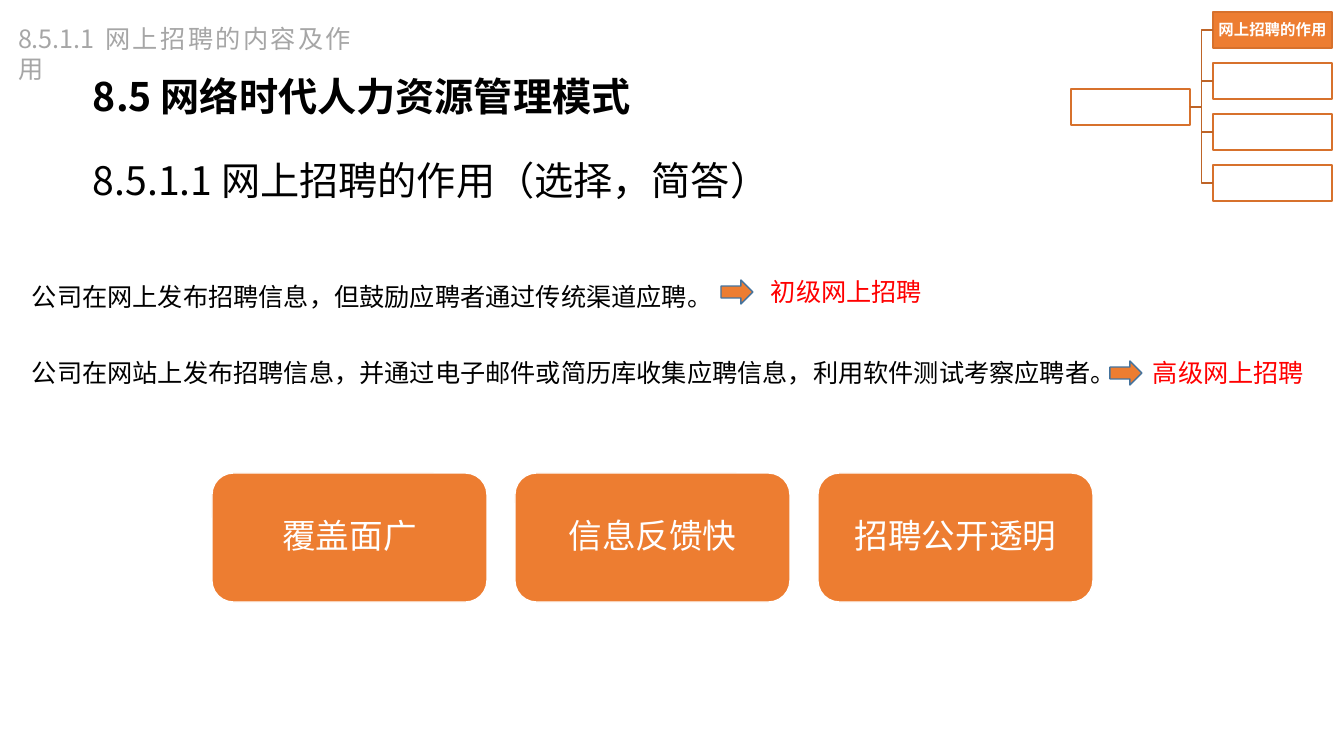
"""Build the slide on the roles of online recruitment."""
from dataclasses import dataclass

from lxml import etree
from pptx import Presentation
from pptx import util as u
from pptx.dml.color import RGBColor
from pptx.enum import shapes, text
from pptx.oxml.ns import qn

EMU_PER_PX = 914400 / 100.8


@dataclass(frozen=True)
class Theme:
    """Colours, fonts and type sizes of the slide."""
    black: str = "000000"
    white: str = "FFFFFF"
    grey: str = "A6A6A6"
    red: str = "FF0000"
    orange: str = "ED7D31"
    box_line: str = "D7712C"
    branch_line: str = "BE6427"
    arrow_line: str = "43739E"
    heading_font: str = "Noto Sans CJK SC"
    body_font: str = "Noto Sans CJK JP"
    heading: int = 28
    card: int = 24
    body: int = 18
    small: int = 11


THEME = Theme()


def px(length):
    """Turn pixels into EMU."""
    return u.Emu(round(length * EMU_PER_PX))


def write(box, words, size, color, font=THEME.body_font, bold=False,
          align=text.PP_ALIGN.LEFT, anchor=text.MSO_ANCHOR.TOP,
          spacing=1.0, inset=(10, 5)):
    """Put one formatted paragraph into a shape."""
    frame = box.text_frame
    frame.text = words
    frame.word_wrap = True
    frame.auto_size = text.MSO_AUTO_SIZE.NONE
    frame.vertical_anchor = anchor
    frame.margin_left = frame.margin_right = px(inset[0])
    frame.margin_top = frame.margin_bottom = px(inset[1])
    para = frame.paragraphs[0]
    para.alignment = align
    para.line_spacing = spacing
    para.space_before = u.Pt(0)
    for span in para.runs:
        span.font.size = u.Pt(size)
        span.font.bold = bold
        span.font.color.rgb = RGBColor.from_string(color)
        span.font.name = font
        east_asian = etree.SubElement(span.font._element, qn("a:ea"))
        east_asian.set("typeface", font)


def add_title(page, words, left, top, width, height):
    """Place and fill the title placeholder."""
    title = page.shapes.title
    title.left, title.top = px(left), px(top)
    title.width, title.height = px(width), px(height)
    write(title, words, THEME.heading, THEME.black, THEME.heading_font,
          bold=True, inset=(12, 6))


def add_text(page, words, left, top, width, height, size, color, **style):
    """Add a text box."""
    box = page.shapes.add_textbox(px(left), px(top), px(width), px(height))
    write(box, words, size, color, **style)


def add_block(page, kind, left, top, width, height, fill, line):
    """Add a filled and outlined preset shape."""
    block = page.shapes.add_shape(kind, px(left), px(top), px(width), px(height))
    block.shadow.inherit = False
    block.fill.solid()
    block.fill.fore_color.rgb = RGBColor.from_string(fill)
    block.line.color.rgb = RGBColor.from_string(line)
    block.line.width = u.Pt(1)
    return block


def add_branch(page, parent, child):
    """Join the right side of a parent to the left side of a child."""
    branch = page.shapes.add_connector(shapes.MSO_CONNECTOR.ELBOW, 0, 0, 0, 0)
    branch.begin_connect(parent, 3)
    branch.end_connect(child, 1)
    branch.line.color.rgb = RGBColor.from_string(THEME.branch_line)
    branch.line.width = u.Pt(1)
    etree.SubElement(branch._element.spPr, qn("a:effectLst"))


def add_outline_tree(page, current):
    """Draw the navigation tree with its first topic highlighted."""
    def add_node(left, top, fill):
        return add_block(page, shapes.MSO_SHAPE.RECTANGLE, left, top, 119, 36,
                         fill, THEME.box_line)

    parent = add_node(1071, 89, THEME.white)
    fills = [THEME.orange] + [THEME.white] * 3
    topics = [add_node(1213, 12 + 51 * row, fill) for row, fill in enumerate(fills)]
    for topic in topics:
        add_branch(page, parent, topic)
    write(topics[0], current, THEME.small, THEME.white, THEME.heading_font,
          bold=True, align=text.PP_ALIGN.CENTER,
          anchor=text.MSO_ANCHOR.MIDDLE, spacing=0.9, inset=(1, 1))


def add_level(page, words, level, top, width, height, arrow_left, label_left,
              label_top, spacing=1.0):
    """Add a statement, an arrow and the recruitment level it leads to."""
    add_text(page, words, 22, top, width, height, THEME.body, THEME.black,
             spacing=spacing)
    add_text(page, level, label_left, label_top, 173, 40, THEME.body, THEME.red)
    add_block(page, shapes.MSO_SHAPE.RIGHT_ARROW, arrow_left, label_top + 9,
              32, 24, THEME.orange, THEME.arrow_line)


def add_cards(page, roles):
    """Add a row of evenly spaced rounded cards."""
    for column, role in enumerate(roles):
        card = add_block(page, shapes.MSO_SHAPE.ROUNDED_RECTANGLE,
                         212 + 303 * column, 473, 275, 129,
                         THEME.orange, THEME.white)
        write(card, role, THEME.card, THEME.white, align=text.PP_ALIGN.CENTER,
              anchor=text.MSO_ANCHOR.MIDDLE, spacing=0.9, inset=(10, 10))


def main():
    """Build and save the deck."""
    deck = Presentation()
    deck.slide_width, deck.slide_height = px(1344), px(756)
    page = deck.slides.add_slide(deck.slide_layouts[5])
    add_title(page, "8.5 网络时代人力资源管理模式", 81, 66, 1154, 59)
    add_text(page, "8.5.1.1 网上招聘的作用（选择，简答）", 81, 116, 1226, 105,
             THEME.heading, THEME.black, font=THEME.heading_font,
             anchor=text.MSO_ANCHOR.MIDDLE, spacing=1.5, inset=(12, 6))
    add_text(page, "8.5.1.1 网上招聘的内容及作用", 8, 18, 353, 40,
             THEME.body, THEME.grey, font=THEME.heading_font,
             align=text.PP_ALIGN.JUSTIFY)
    add_outline_tree(page, "网上招聘的作用")
    add_level(page, "公司在网上发布招聘信息，但鼓励应聘者通过传统渠道应聘。",
              "初级网上招聘", top=255, width=960, height=62, arrow_left=721,
              label_left=761, label_top=271, spacing=u.Pt(37))
    add_level(page, "公司在网站上发布招聘信息，并通过电子邮件或简历库收集应聘信息，"
              "利用软件测试考察应聘者。", "高级网上招聘", top=352, width=1154,
              height=40, arrow_left=1110, label_left=1143, label_top=352)
    add_cards(page, ["覆盖面广", "信息反馈快", "招聘公开透明"])
    deck.save("out.pptx")


if __name__ == "__main__":
    main()
